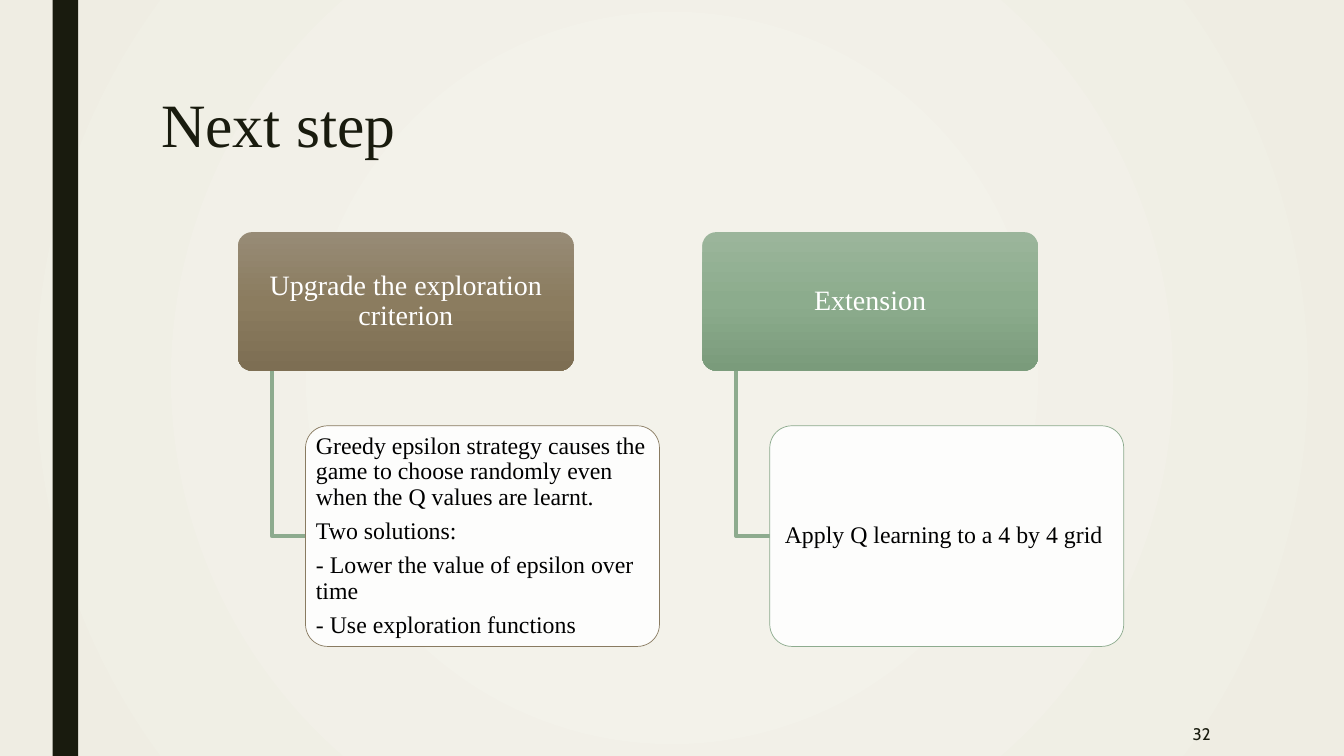
from dataclasses import dataclass

from lxml import etree
from pptx import Presentation
from pptx.dml.color import RGBColor
from pptx.enum.shapes import MSO_SHAPE
from pptx.enum.text import MSO_ANCHOR, PP_ALIGN
from pptx.oxml.ns import qn
from pptx.util import Cm, Pt

RECT, ROUNDED = MSO_SHAPE.RECTANGLE, MSO_SHAPE.ROUNDED_RECTANGLE
LEFT, CENTER, RIGHT = PP_ALIGN.LEFT, PP_ALIGN.CENTER, PP_ALIGN.RIGHT
MIDDLE = MSO_ANCHOR.MIDDLE
SERIF, SANS = "Times New Roman", "Cabin"
DARK, WHITE, BLACK, GREEN = "191B0E", "FFFFFF", "000000", "8DAB8E"


@dataclass
class Branch:
    heading: str
    gradient: tuple[str, str, str]
    outline: str
    lines: list[str]
    align: PP_ALIGN


BRANCHES = [
    Branch("Upgrade the exploration criterion", ("978B76", "8B7C5F", "7D6E53"), "897B61",
           ["Greedy epsilon strategy causes the game to choose randomly even "
            "when the Q values are learnt.",
            "Two solutions:",
            "- Lower the value of epsilon over time",
            "- Use exploration functions"], LEFT),
    Branch("Extension", ("9BB59B", "8CAC8D", "7A9B7B"), GREEN,
           ["Apply Q learning to a 4 by 4 grid "], CENTER),
]


def rgb(value: str) -> RGBColor:
    return RGBColor.from_string(value)


def add_box(s, kind, x: float, y: float, w: float, h: float):
    """Add a plain shape, measured in centimetres."""
    sp = s.shapes.add_shape(kind, Cm(x), Cm(y), Cm(w), Cm(h))
    sp.shadow.inherit = False
    sp.line.fill.background()
    if kind == ROUNDED:
        sp.adjustments[0] = 0.1
    return sp


def set_solid(sp, color: str, opacity: int = 100) -> None:
    sp.fill.solid()
    sp.fill.fore_color.rgb = rgb(color)
    if opacity < 100:
        clr = sp.fill._xPr.find(qn("a:solidFill"))[0]
        etree.SubElement(clr, qn("a:alpha"), val=str(opacity * 1000))


def set_gradient(sp, stops: list[tuple[int, str]], radial: bool = False) -> None:
    """Fill from top to bottom, or from the centre outwards."""
    sp.fill.gradient()
    grad = sp.fill._xPr.find(qn("a:gradFill"))
    grad.clear()
    stop_list = etree.SubElement(grad, qn("a:gsLst"))
    for pos, color in stops:
        gs = etree.SubElement(stop_list, qn("a:gs"), pos=str(pos * 1000))
        etree.SubElement(gs, qn("a:srgbClr"), val=color)
    if radial:
        path = etree.SubElement(grad, qn("a:path"), path="circle")
        etree.SubElement(path, qn("a:fillToRect"), {side: "50000" for side in "ltrb"})
    else:
        etree.SubElement(grad, qn("a:lin"), ang="5400000", scaled="0")


def write(sp, lines: list[str], size: float, color: str, align: PP_ALIGN,
          font: str = SERIF, spacing: float = 0.9, after: float = 0,
          inset: tuple[float, float] = (0.25, 0.13)) -> None:
    tf = sp.text_frame
    tf.word_wrap = True
    tf.vertical_anchor = MIDDLE
    tf.margin_left = tf.margin_right = Cm(inset[0])
    tf.margin_top = tf.margin_bottom = Cm(inset[1])
    for i, line in enumerate(lines):
        p = tf.paragraphs[0] if i == 0 else tf.add_paragraph()
        p.add_run().text = line
        p.alignment = align
        p.line_spacing = spacing
        p.space_after = Pt(after)
        p.font.size = Pt(size)
        p.font.name = font
        p.font.color.rgb = rgb(color)


def add_text(s, text: str, x: float, y: float, w: float, h: float, size: float,
             align: PP_ALIGN, font: str, spacing: float) -> None:
    sp = s.shapes.add_textbox(Cm(x), Cm(y), Cm(w), Cm(h))
    write(sp, [text], size, DARK, align, font, spacing)


def add_elbow(s, x: float, top: float, bottom: float, right: float) -> None:
    builder = s.shapes.build_freeform(Cm(x), Cm(top))
    builder.add_line_segments([(Cm(x), Cm(bottom)), (Cm(right), Cm(bottom))], close=False)
    sp = builder.convert_to_shape()
    sp.shadow.inherit = False
    sp.fill.background()
    sp.line.color.rgb = rgb(GREEN)
    sp.line.width = Pt(2.75)


def add_branch(s, branch: Branch, x: float) -> None:
    head_y, head_h = 5.85, 3.49
    card_x, card_y, card_h = x + 1.7, 10.73, 5.56

    head = add_box(s, ROUNDED, x, head_y, 8.46, head_h)
    set_gradient(head, list(zip((0, 50, 100), branch.gradient)))
    write(head, [branch.heading], 20, WHITE, CENTER, inset=(0.1, 0.07))

    add_elbow(s, x + 0.85, head_y + head_h, card_y + card_h / 2, card_x)

    card = add_box(s, ROUNDED, card_x, card_y, 8.92, card_h)
    set_solid(card, WHITE, 90)
    card.line.color.rgb = rgb(branch.outline)
    card.line.width = Pt(0.5)
    write(card, branch.lines, 17, BLACK, branch.align, after=6, inset=(0.1, 0.06))


def main() -> None:
    prs = Presentation()
    prs.slide_width, prs.slide_height = Cm(33.87), Cm(19.05)
    s = prs.slides.add_slide(prs.slide_layouts[6])

    # Backdrop and side bar
    backdrop = add_box(s, RECT, 0, 0, 33.87, 19.05)
    set_gradient(backdrop, [(30, "F3F2EA"), (100, "EFEDE3")], radial=True)
    set_solid(add_box(s, RECT, 1.33, 0, 0.64, 19.05), DARK)

    # Title and slide number
    add_text(s, "Next step", 3.81, 1.9, 28.73, 2.62, 44, LEFT, SERIF, 0.89)
    add_text(s, "32", 26.31, 17.93, 4.45, 1.12, 12, RIGHT, SANS, 1.0)

    # Two branches of the diagram
    for i, branch in enumerate(BRANCHES):
        add_branch(s, branch, 6 + i * 11.7)

    prs.save("out.pptx")


if __name__ == "__main__":
    main()
